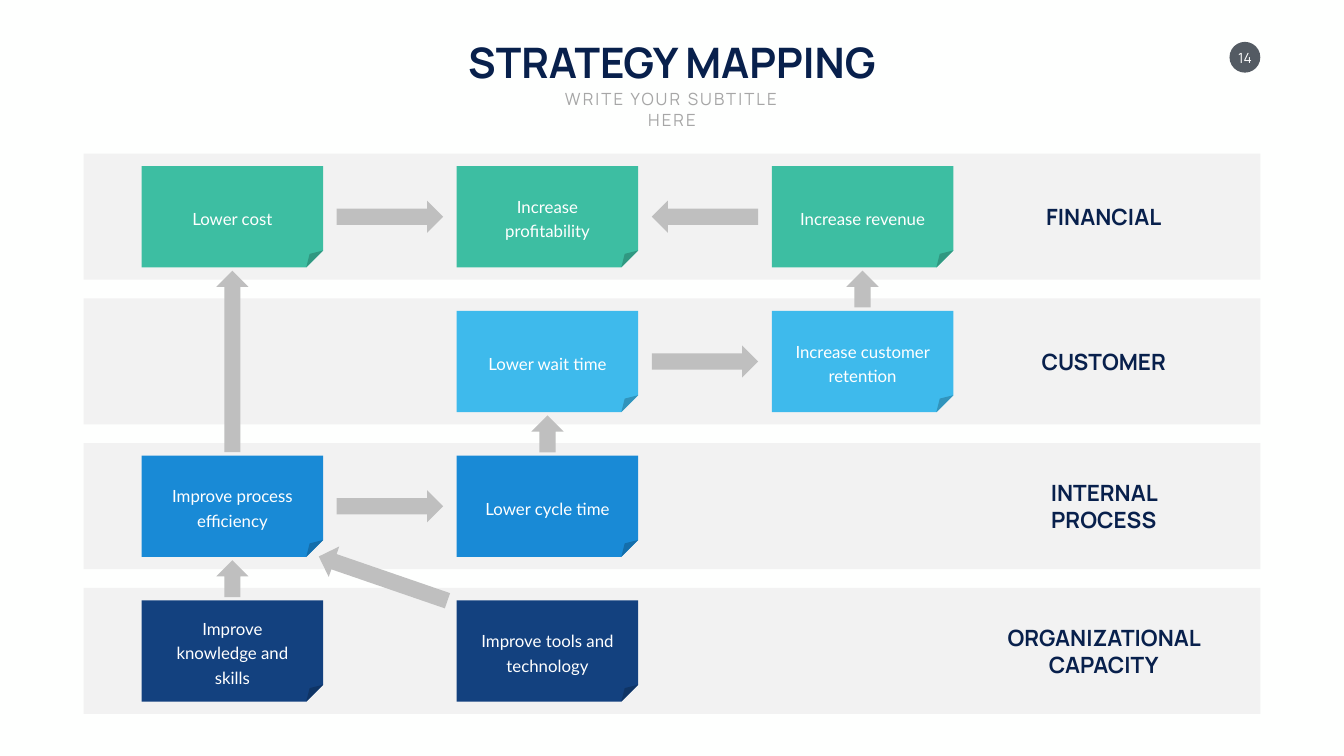
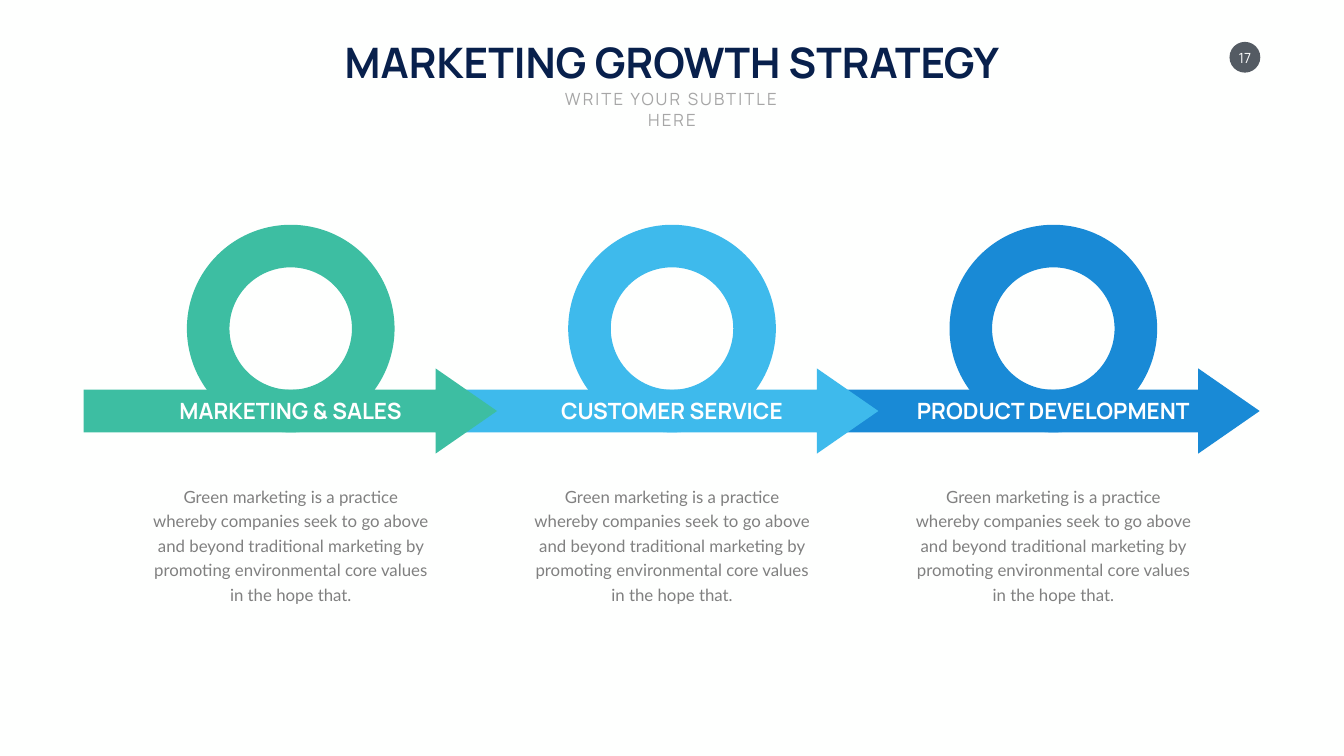
"""Build a strategy map slide and a marketing growth slide."""
from pptx import Presentation
from pptx.dml.color import RGBColor
from pptx.enum.shapes import MSO_SHAPE as Shape
from pptx.enum.text import MSO_ANCHOR as Anchor, PP_ALIGN as Align
from pptx.util import Pt

COLORS = {
    "background": "FEFFFE", "badge": "545B63", "navy": "08204C", "subtitle": "A6A6A6",
    "band": "F2F2F2", "link": "BFBFBF", "body": "808080", "white": "FFFFFF",
    "green": "3DBEA2", "sky": "3EBAEC", "blue": "198AD6", "deep": "13417F",
}
HEADING, BODY = "Manrope", "Lato"
SUBTITLE = "WRITE YOUR SUBTITLE HERE"

PERSPECTIVES = [
    ("FINANCIAL", "green", ["Lower cost", "Increase profitability", "Increase revenue"]),
    ("CUSTOMER", "sky", [None, "Lower wait time", "Increase customer retention"]),
    ("INTERNAL PROCESS", "blue", ["Improve process efficiency", "Lower cycle time"]),
    ("ORGANIZATIONAL CAPACITY", "deep",
     ["Improve knowledge and skills", "Improve tools and technology"]),
]
RIGHT, LEFT = Shape.RIGHT_ARROW, Shape.LEFT_ARROW
# (row, column) of both cards, arrow shape, length, rotation, sideways shift
LINKS = [
    ((0, 0), (0, 1), RIGHT, 152, 0, 0),
    ((0, 2), (0, 1), LEFT, 152, 0, 0),
    ((1, 1), (1, 2), RIGHT, 152, 0, 0),
    ((2, 0), (2, 1), RIGHT, 152, 0, 0),
    ((1, 2), (0, 2), LEFT, 52.6, 90, 0),
    ((2, 1), (1, 1), LEFT, 52.6, 90, 0),
    ((3, 0), (2, 0), LEFT, 52.6, 90, 0),
    ((2, 0), (0, 0), LEFT, 259.2, 90, 0),
    ((3, 1), (2, 0), LEFT, 194.4, 19, -9.7),
]

STORY = ("Green marketing is a practice whereby companies seek to go above and beyond "
         "traditional marketing by promoting environmental core values in the hope that.")
STAGES = [
    ("MARKETING & SALES", "green", STORY),
    ("CUSTOMER SERVICE", "sky", STORY),
    ("PRODUCT DEVELOPMENT", "blue", STORY),
]

PAGE_WIDTH, PAGE_HEIGHT = 1919.5, 1080
CENTER = PAGE_WIDTH / 2
MARGIN = 119.5

BAND_TOP, BAND_HEIGHT, BAND_STEP = 219.6, 180, 206.8
CARD_LEFT, CARD_STEP, CARD_WIDTH, CARD_HEIGHT = 202.3, 450, 259.2, 144.7
LABEL_CENTER = 1576.5

STAGE_STEP, RING_SIZE, RING_TOP = 544.6, 296.6, 321.1
ARROW_TOP, ARROW_WIDTH, ARROW_HEIGHT = 526.3, 590.4, 121.7
STAGE_CENTER = 415.2


def color(name):
    return RGBColor.from_string(COLORS[name])


def add_block(page, kind, center, middle, width, height, fill, turn=0, adjust=()):
    block = page.shapes.add_shape(
        kind, Pt(center - width / 2), Pt(middle - height / 2), Pt(width), Pt(height))
    block.shadow.inherit = False
    block.fill.solid()
    block.fill.fore_color.rgb = color(fill)
    block.line.fill.background()
    block.rotation = turn
    for index, value in enumerate(adjust):
        block.adjustments[index] = value


def add_text(page, text, center, top, width, height, size, fill, font=HEADING,
             bold=False, wrap=True, anchor=Anchor.MIDDLE, tracking=0, inset=True):
    box = page.shapes.add_textbox(Pt(center - width / 2), Pt(top), Pt(width), Pt(height))
    frame = box.text_frame
    frame.word_wrap = wrap
    frame.vertical_anchor = anchor
    if not inset:
        frame.margin_left = frame.margin_right = frame.margin_top = frame.margin_bottom = 0
    para = frame.paragraphs[0]
    para.alignment = Align.CENTER
    if font == BODY:
        para.line_spacing = Pt(35)
        para.space_before = Pt(4.8)
    span = para.add_run()
    span.text = text
    span.font.name = font
    span.font.size = Pt(size)
    span.font.bold = bold
    span.font.color.rgb = color(fill)
    if tracking:
        span.font._element.set("spc", str(tracking * 100))


def add_page(deck, title, title_width, number):
    page = deck.slides.add_slide(deck.slide_layouts[6])
    page.background.fill.solid()
    page.background.fill.fore_color.rgb = color("background")
    add_block(page, Shape.OVAL, 1778, 81.8, 44, 44, "badge")
    add_text(page, number, 1778, 69.8, 29.5, 24.5, 20, "white", wrap=False, inset=False)
    add_text(page, title, CENTER, 48.2, title_width, 80, 60, "navy", bold=True,
             wrap=False, anchor=Anchor.TOP)
    add_text(page, SUBTITLE, CENTER, 123.8, 391, 36, 24, "subtitle",
             anchor=Anchor.TOP, tracking=3)
    return page


def card_center(row, column):
    return (CARD_LEFT + column * CARD_STEP + CARD_WIDTH / 2,
            BAND_TOP + row * BAND_STEP + BAND_HEIGHT / 2)


def build_strategy_map(deck):
    page = add_page(deck, "STRATEGY MAPPING", 625.7, "14")
    for row, (label, fill, goals) in enumerate(PERSPECTIVES):
        middle = card_center(row, 0)[1]
        add_block(page, Shape.RECTANGLE, CENTER, middle, PAGE_WIDTH - 2 * MARGIN,
                  BAND_HEIGHT, "band")
        height = 85 if " " in label else 46
        add_text(page, label, LABEL_CENTER, middle - height / 2, 304.6, height, 32,
                 "navy", bold=True)
        for column, goal in enumerate(goals):
            if not goal:
                continue
            center = card_center(row, column)[0]
            add_block(page, Shape.FOLDED_CORNER, center, middle, CARD_WIDTH,
                      CARD_HEIGHT, fill)
            height = 74 if len(goal) > 18 else 39
            add_text(page, goal, center, middle - height / 2, 220.3, height, 24,
                     "white", font=BODY)
    for start, end, kind, length, turn, shift in LINKS:
        center, middle = (sum(pair) / 2 for pair in zip(card_center(*start), card_center(*end)))
        add_block(page, kind, center + shift, middle, length, 46, "link", turn)


def build_growth_strategy(deck):
    page = add_page(deck, "MARKETING GROWTH STRATEGY", 990.7, "17")
    middle = ARROW_TOP + ARROW_HEIGHT / 2
    stages = [(index * STAGE_STEP, *stage) for index, stage in enumerate(STAGES)]
    for offset, _, fill, _ in stages:
        add_block(page, Shape.DONUT, STAGE_CENTER + offset, RING_TOP + RING_SIZE / 2,
                  RING_SIZE, RING_SIZE, fill, adjust=[0.205])
    for offset, _, fill, _ in reversed(stages):
        add_block(page, RIGHT, MARGIN + offset + ARROW_WIDTH / 2, middle, ARROW_WIDTH,
                  ARROW_HEIGHT, fill, adjust=[0.5, 0.721])
    for offset, label, _, story in stages:
        center = STAGE_CENTER + offset
        add_text(page, label, center, middle - 23, 411 if len(label) > 18 else 340, 46,
                 32, "white", bold=True, wrap=False)
        add_text(page, story, center, 685.4, 416.2, 180, 24, "body", font=BODY,
                 anchor=Anchor.TOP)


def main():
    deck = Presentation()
    deck.slide_width, deck.slide_height = Pt(PAGE_WIDTH), Pt(PAGE_HEIGHT)
    build_strategy_map(deck)
    build_growth_strategy(deck)
    deck.save("out.pptx")


if __name__ == "__main__":
    main()
